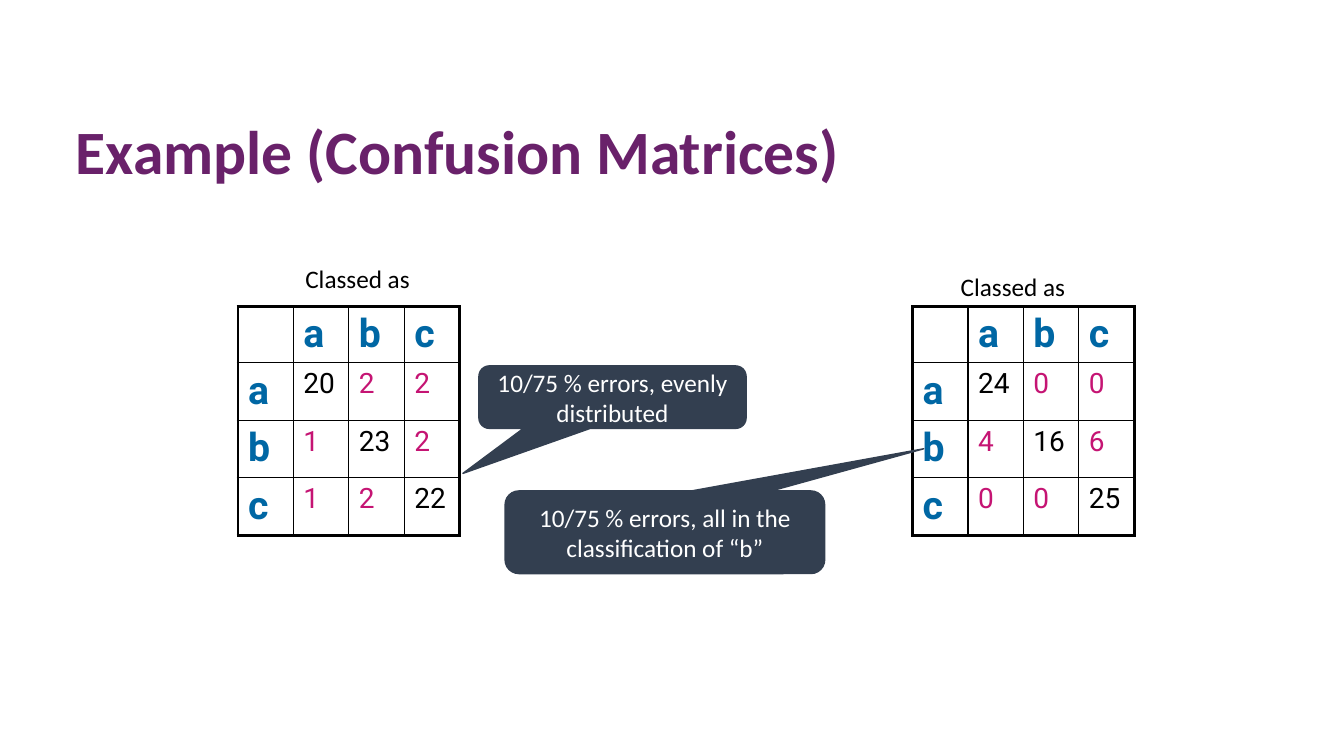
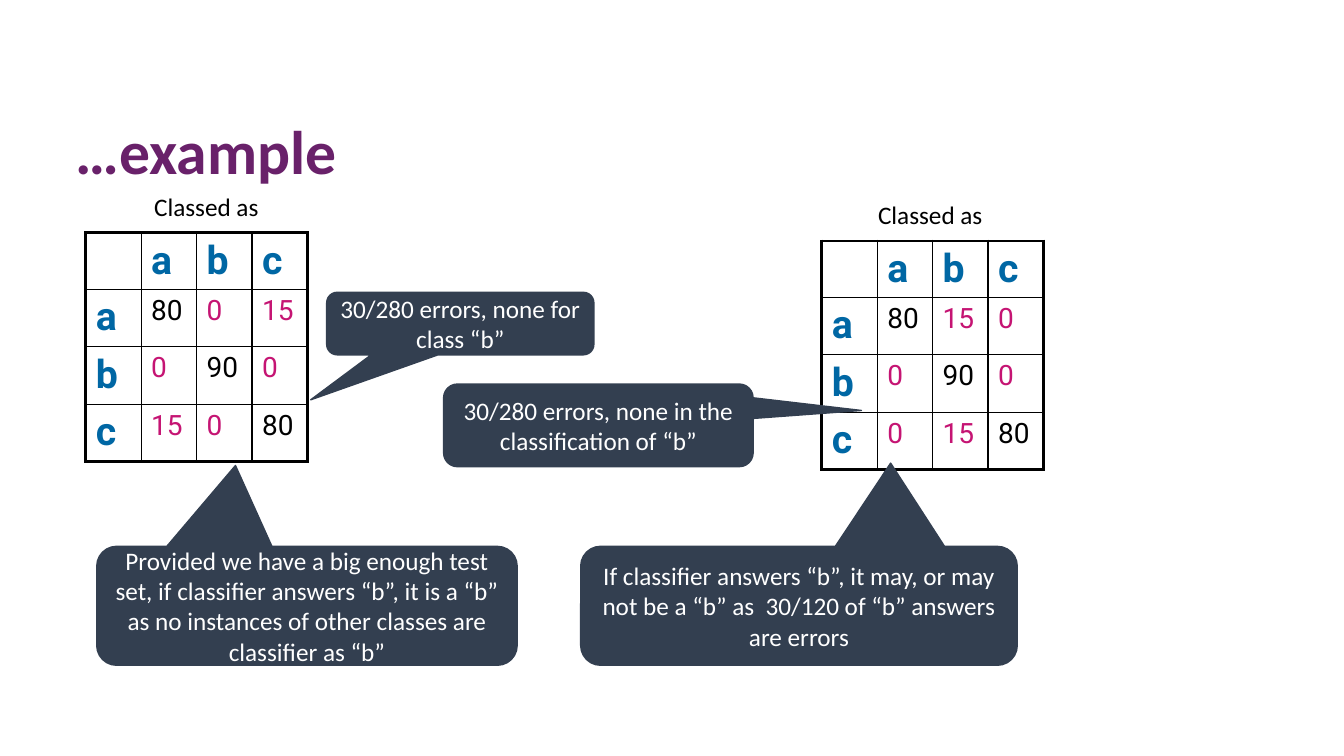
from dataclasses import dataclass

from lxml import etree
from pptx import Presentation
from pptx.dml.color import RGBColor
from pptx.enum.shapes import MSO_SHAPE
from pptx.enum.text import MSO_ANCHOR, MSO_AUTO_SIZE, PP_ALIGN
from pptx.oxml.ns import qn
from pptx.slide import Slide
from pptx.table import _Cell
from pptx.text.text import _Paragraph
from pptx.util import Emu, Pt

CALLOUT_SHAPE = MSO_SHAPE.ROUNDED_RECTANGULAR_CALLOUT
MIDDLE = MSO_ANCHOR.MIDDLE
LEFT, CENTER = PP_ALIGN.LEFT, PP_ALIGN.CENTER
FIT_SHAPE, NO_FIT = MSO_AUTO_SIZE.SHAPE_TO_FIT_TEXT, MSO_AUTO_SIZE.NONE

EMU_PER_PX = 9144  # 100 px to the inch
SLIDE_SIZE = (1333, 750)
TITLE_BOX = (65, 112, 1150, 83)
LABEL_SIZE = (125, 40)
COLUMN_WIDTH = 55
ROW_HEIGHT = 57
HEADER_HEIGHT = 56
OUTER_BORDER, INNER_BORDER = 2.25, 1

TEXT_FONT, TABLE_FONT = "Calibri", "Roboto"
COLORS = {
    "title": "69216A",
    "class": "0067A4",
    "correct": "000000",
    "error": "C51473",
    "callout": "333F50",
    "callout_text": "FFFFFF",
    "label": "000000",
    "border": "000000",
}
CLASSES = ("a", "b", "c")
LABEL_TEXT = "Classed as"


@dataclass(frozen=True)
class Matrix:
    left: int
    top: int
    label_left: int
    label_top: int
    counts: tuple[tuple[int, ...], ...]


@dataclass(frozen=True)
class Callout:
    box: tuple[int, int, int, int]
    tip: tuple[float, float]  # offset from the centre, as shares of the size
    text: str


@dataclass(frozen=True)
class Example:
    title: str
    matrices: tuple[Matrix, ...]
    callouts: tuple[Callout, ...]


EXAMPLES = (
    Example(
        "Example (Confusion Matrices)",
        (
            Matrix(905, 304, 943, 264, ((24, 0, 0), (4, 16, 6), (0, 0, 25))),
            Matrix(236, 304, 293, 256, ((20, 2, 2), (1, 23, 2), (1, 2, 22))),
        ),
        (
            Callout((475, 363, 265, 62), (-0.56, 1.22),
                    "10/75 % errors, evenly distributed"),
            Callout((501, 487, 317, 82), (0.81, -1.01),
                    "10/75 % errors, all in the classification of “b”"),
        ),
    ),
    Example(
        "…example",
        (
            Matrix(815, 239, 861, 193, ((80, 15, 0), (0, 90, 0), (0, 15, 80))),
            Matrix(85, 231, 143, 185, ((80, 0, 15), (0, 90, 0), (15, 0, 80))),
        ),
        (
            Callout((324, 290, 265, 62), (-0.56, 1.22),
                    "30/280 errors, none for class “b”"),
            Callout((440, 381, 307, 82), (0.85, -0.18),
                    "30/280 errors, none in the classification of “b”"),
            Callout((96, 542, 417, 118), (-0.17, -1.18),
                    "Provided we have a big enough test set, if classifier answers “b”, "
                    "it is a “b” as no instances of other classes are classifier as “b”"),
            Callout((576, 542, 433, 118), (0.21, -1.2),
                    "If classifier answers “b”, it may, or may not be a “b” as  30/120 "
                    "of “b” answers are errors"),
        ),
    ),
)


def px(length: int) -> Emu:
    return Emu(length * EMU_PER_PX)


def color(name: str) -> RGBColor:
    return RGBColor.from_string(COLORS[name])


def set_font(paragraph: _Paragraph, name: str, size: int, color_name: str,
             bold: bool = False) -> None:
    font = paragraph.font
    font.name, font.size, font.bold = name, Pt(size), bold
    font.color.rgb = color(color_name)


def add_title(slide: Slide, text: str) -> None:
    title = slide.shapes.title
    title.left, title.top, title.width, title.height = map(px, TITLE_BOX)
    frame = title.text_frame
    frame.text = text
    frame.vertical_anchor = MIDDLE
    frame.auto_size = NO_FIT
    paragraph = frame.paragraphs[0]
    paragraph.alignment = LEFT
    paragraph.line_spacing = 0.9
    set_font(paragraph, TEXT_FONT, 44, "title", bold=True)


def set_borders(cell: _Cell, row: int, column: int) -> None:
    last = len(CLASSES)
    outer_sides = {"L": column == 0, "R": column == last, "T": row == 0, "B": row == last}
    properties = cell._tc.get_or_add_tcPr()
    for side, is_outer in outer_sides.items():
        width = Pt(OUTER_BORDER if is_outer else INNER_BORDER)
        line = etree.SubElement(properties, qn(f"a:ln{side}"), w=str(width))
        fill = etree.SubElement(line, qn("a:solidFill"))
        etree.SubElement(fill, qn("a:srgbClr"), val=COLORS["border"])


def add_matrix(slide: Slide, matrix: Matrix) -> None:
    size = len(CLASSES) + 1
    height = HEADER_HEIGHT + len(CLASSES) * ROW_HEIGHT
    table = slide.shapes.add_table(size, size, px(matrix.left), px(matrix.top),
                                   px(size * COLUMN_WIDTH), px(height)).table
    table.first_row = table.horz_banding = False
    for column in table.columns:
        column.width = px(COLUMN_WIDTH)
    for index, row in enumerate(table.rows):
        row.height = px(ROW_HEIGHT if index else HEADER_HEIGHT)

    # Class names head the rows and columns; the diagonal holds correct answers
    grid = (("", *CLASSES), *((name, *counts) for name, counts in zip(CLASSES, matrix.counts)))
    for row_index, values in enumerate(grid):
        for column_index, value in enumerate(values):
            cell = table.cell(row_index, column_index)
            set_borders(cell, row_index, column_index)
            cell.fill.background()
            cell.text = str(value)
            paragraph = cell.text_frame.paragraphs[0]
            if row_index == 0 or column_index == 0:
                set_font(paragraph, TABLE_FONT, 28, "class", bold=True)
            else:
                kind = "correct" if row_index == column_index else "error"
                set_font(paragraph, TABLE_FONT, 20, kind)


def add_label(slide: Slide, matrix: Matrix) -> None:
    box = slide.shapes.add_textbox(px(matrix.label_left), px(matrix.label_top),
                                   *map(px, LABEL_SIZE))
    frame = box.text_frame
    frame.word_wrap = False
    frame.auto_size = FIT_SHAPE
    frame.text = LABEL_TEXT
    set_font(frame.paragraphs[0], TEXT_FONT, 18, "label")


def add_callout(slide: Slide, callout: Callout) -> None:
    shape = slide.shapes.add_shape(CALLOUT_SHAPE, *map(px, callout.box))
    shape.adjustments[0], shape.adjustments[1] = callout.tip
    shape.shadow.inherit = False
    shape.fill.solid()
    shape.fill.fore_color.rgb = color("callout")
    shape.line.color.rgb = color("callout")
    shape.line.width = Pt(1)
    frame = shape.text_frame
    frame.word_wrap = True
    frame.vertical_anchor = MIDDLE
    frame.text = callout.text
    paragraph = frame.paragraphs[0]
    paragraph.alignment = CENTER
    set_font(paragraph, TEXT_FONT, 18, "callout_text")


def main() -> None:
    presentation = Presentation()
    presentation.slide_width, presentation.slide_height = map(px, SLIDE_SIZE)
    title_only = presentation.slide_layouts.get_by_name("Title Only")
    for example in EXAMPLES:
        slide = presentation.slides.add_slide(title_only)
        add_title(slide, example.title)
        for matrix in example.matrices:
            add_matrix(slide, matrix)
        for callout in example.callouts:
            add_callout(slide, callout)
        for matrix in example.matrices:
            add_label(slide, matrix)
    presentation.save("out.pptx")


if __name__ == "__main__":
    main()
